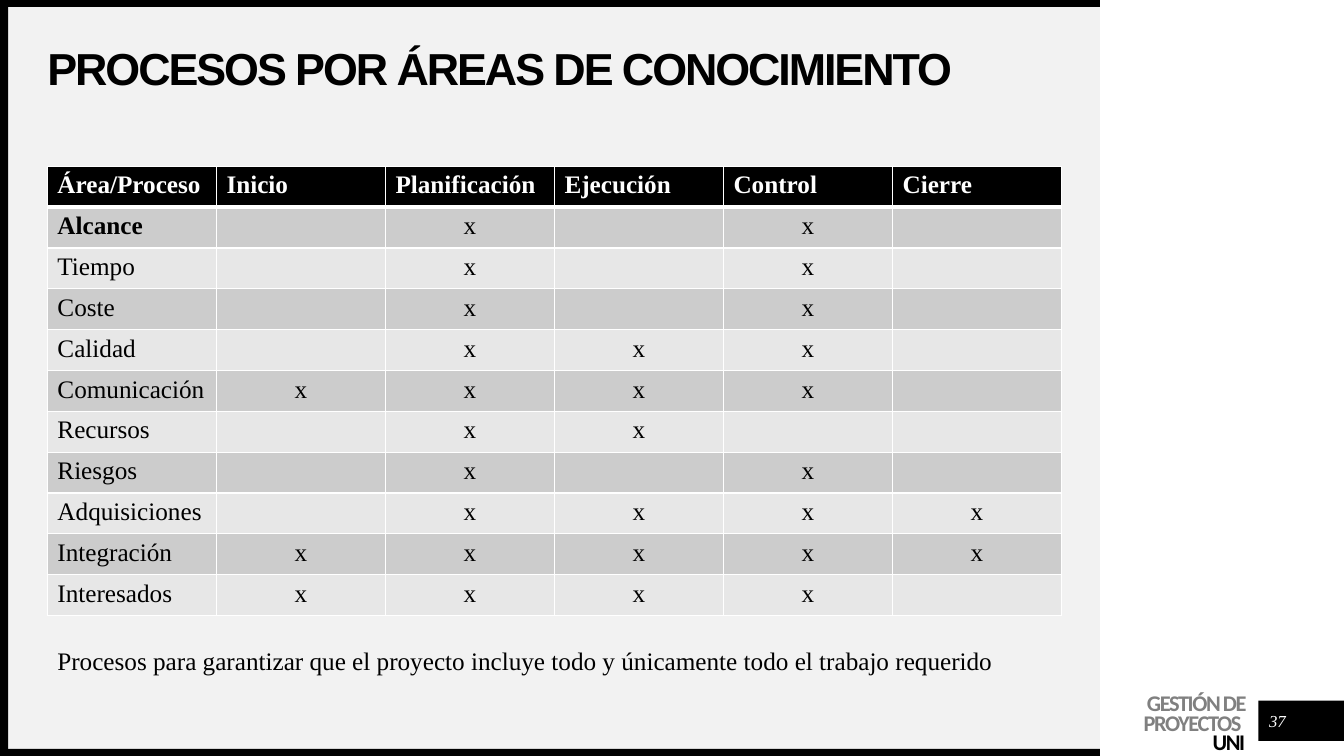
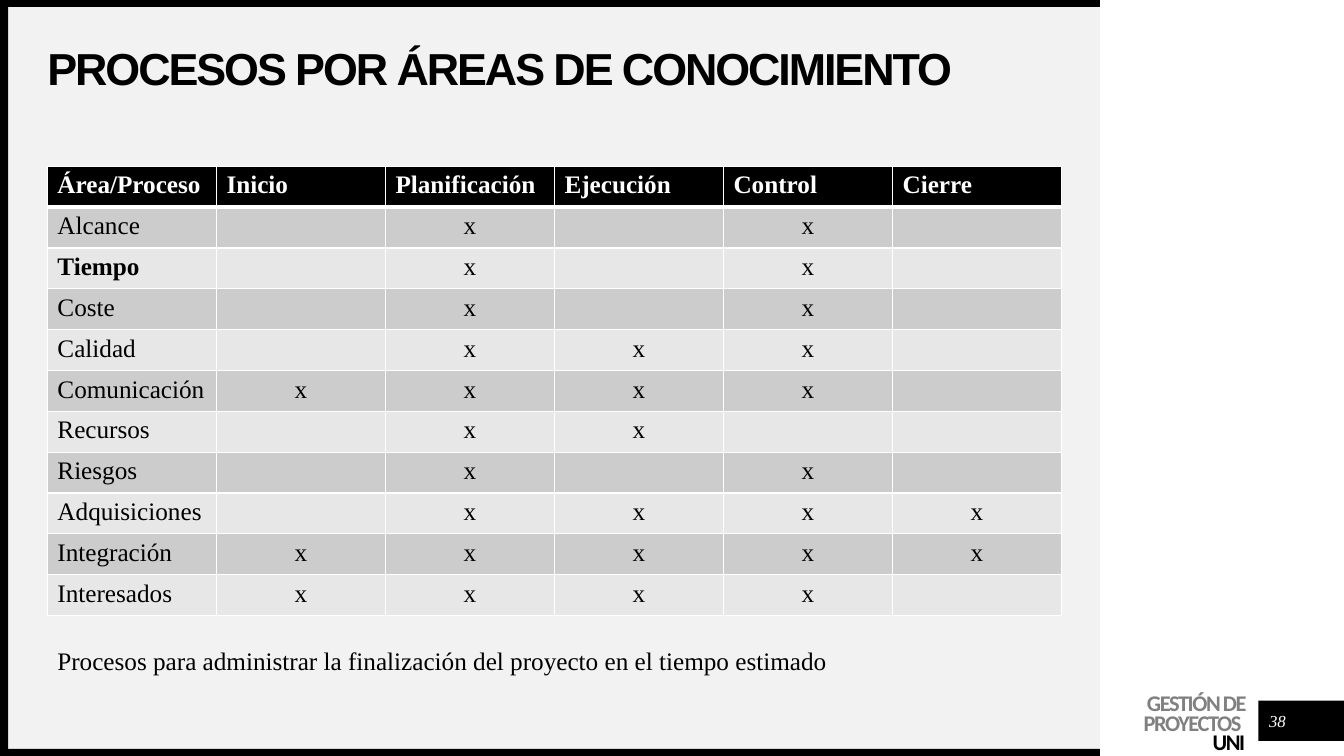
from dataclasses import dataclass

from lxml.etree import SubElement
from pptx import Presentation
from pptx.dml.color import RGBColor
from pptx.enum.shapes import MSO_SHAPE as Shape
from pptx.enum.text import MSO_ANCHOR as Anchor, PP_ALIGN as Align
from pptx.oxml import parse_xml
from pptx.oxml.ns import nsdecls, qn
from pptx.util import Inches, Pt


@dataclass(frozen=True)
class Theme:
    black: str = "000000"
    white: str = "FFFFFF"
    gray: str = "808080"
    panel: str = "F2F2F2"
    bands: tuple = ("CCCCCC", "E7E7E7")
    title_font: str = "Arial"
    body_font: str = "Times New Roman"
    footer_font: str = "Calibri"
    title_size: int = 32
    body_size: int = 18
    footer_size: int = 16
    footer_leading: int = 14
    number_size: int = 12
    grid_line: int = 1
    header_line: int = 3


THEME = Theme()
WIDTH, HEIGHT = 13.33, 7.5
PANEL_WIDTH = 10.91
EDGE_HEIGHT, EDGE_WIDTH = 0.07, 0.08
LEFT, CONTENT_WIDTH = 0.47, 10.06
TITLE_TOP, TABLE_TOP, CAPTION_TOP = 0.47, 1.65, 6.35
TABLE_HEIGHT = 4.46
NUMBER_LEFT, NUMBER_TOP = 12.48, 6.95

TITLE = "PROCESOS POR ÁREAS DE CONOCIMIENTO"
COURSE = "GESTIÓN DE PROYECTOS \nUNI"
PHASES = ["Inicio", "Planificación", "Ejecución", "Control", "Cierre"]
MARK = "x"
PHASES_BY_AREA = {
    "Alcance": ["Planificación", "Control"],
    "Tiempo": ["Planificación", "Control"],
    "Coste": ["Planificación", "Control"],
    "Calidad": ["Planificación", "Ejecución", "Control"],
    "Comunicación": ["Inicio", "Planificación", "Ejecución", "Control"],
    "Recursos": ["Planificación", "Ejecución"],
    "Riesgos": ["Planificación", "Control"],
    "Adquisiciones": ["Planificación", "Ejecución", "Control", "Cierre"],
    "Integración": PHASES,
    "Interesados": ["Inicio", "Planificación", "Ejecución", "Control"],
}
# Page number, highlighted area, caption
SLIDES = [
    (37, "Alcance", "Procesos para garantizar que el proyecto incluye todo "
                    "y únicamente todo el trabajo requerido"),
    (38, "Tiempo", "Procesos para administrar la finalización del proyecto "
                   "en el tiempo estimado"),
]


class Deck:
    def __init__(self, theme):
        self.theme = theme
        self.presentation = Presentation()
        self.presentation.slide_width = Inches(WIDTH)
        self.presentation.slide_height = Inches(HEIGHT)
        self.slide = None

    def style(self, paragraph, size, color, font=None, bold=False, italic=False,
              spacing=0, align=Align.LEFT):
        """Format a paragraph and its runs; spacing is between letters, in points."""
        paragraph.alignment = align
        for run in paragraph.runs:
            run.font.name = font or self.theme.body_font
            run.font.size = Pt(size)
            run.font.bold = bold
            run.font.italic = italic
            run.font.color.rgb = RGBColor.from_string(color)
            if spacing:
                run.font._element.set("spc", str(round(spacing * 100)))

    def fill(self, target, color):
        target.fill.solid()
        target.fill.fore_color.rgb = RGBColor.from_string(color)

    def rectangle(self, left, top, width, height, color):
        shape = self.slide.shapes.add_shape(
            Shape.RECTANGLE, Inches(left), Inches(top), Inches(width), Inches(height))
        shape.shadow.inherit = False
        self.fill(shape, color)
        shape.line.fill.background()

    def text(self, left, top, width, height, content, top_margin=None,
             anchor=Anchor.TOP):
        """Add a text box and return its paragraphs.

        Giving top_margin sets the other three margins to zero.
        """
        box = self.slide.shapes.add_textbox(
            Inches(left), Inches(top), Inches(width), Inches(height))
        frame = box.text_frame
        frame.word_wrap = True
        frame.vertical_anchor = anchor
        if top_margin is not None:
            frame.margin_left = frame.margin_right = frame.margin_bottom = 0
            frame.margin_top = Inches(top_margin)
        frame.text = content
        return frame.paragraphs

    def new_slide(self, number):
        """Add a blank slide with everything the slides share."""
        blank_layout = self.presentation.slide_layouts[6]
        self.slide = self.presentation.slides.add_slide(blank_layout)
        self.background()
        self.course_name()
        self.page_number(number)

    def background(self):
        black = self.theme.black
        self.rectangle(0, 0, PANEL_WIDTH, HEIGHT, self.theme.panel)
        for top in (0, HEIGHT - EDGE_HEIGHT):
            self.rectangle(0, top, PANEL_WIDTH, EDGE_HEIGHT, black)
        self.rectangle(0, 0, EDGE_WIDTH, HEIGHT, black)

    def course_name(self):
        theme = self.theme
        paragraphs = self.text(10.53, 6.87, 1.82, 0.64, COURSE, top_margin=0.04)
        for paragraph, color in zip(paragraphs, (theme.gray, theme.black)):
            self.style(paragraph, theme.footer_size, color, theme.footer_font,
                       bold=True, spacing=-1, align=Align.RIGHT)
            paragraph.line_spacing = Pt(theme.footer_leading)

    def page_number(self, number):
        self.rectangle(NUMBER_LEFT, NUMBER_TOP, WIDTH - NUMBER_LEFT, 0.4,
                       self.theme.black)
        [paragraph] = self.text(NUMBER_LEFT + 0.04, NUMBER_TOP + 0.05, 0.3, 0.3,
                                str(number), top_margin=0, anchor=Anchor.MIDDLE)
        self.style(paragraph, self.theme.number_size, self.theme.white,
                   italic=True, align=Align.CENTER)

    def title(self, content):
        [paragraph] = self.text(LEFT, TITLE_TOP, CONTENT_WIDTH, 0.47, content,
                                top_margin=0, anchor=Anchor.MIDDLE)
        self.style(paragraph, self.theme.title_size, self.theme.black,
                   self.theme.title_font, bold=True, spacing=-1.5)
        paragraph.line_spacing = 0.9

    def caption(self, content):
        [paragraph] = self.text(LEFT, CAPTION_TOP, CONTENT_WIDTH, 0.4, content)
        self.style(paragraph, self.theme.body_size, self.theme.black)

    def borders(self, cell, top, bottom):
        """Draw white cell borders; top and bottom are widths in points."""
        properties = cell._tc.get_or_add_tcPr()
        side = self.theme.grid_line
        edges = (("L", side), ("R", side), ("T", top), ("B", bottom))
        # The schema wants the borders in this order, ahead of the cell fill
        for position, (edge, width) in enumerate(edges):
            line = parse_xml(f'<a:ln{edge} {nsdecls("a")} w="{Pt(width)}"/>')
            line_fill = SubElement(line, qn("a:solidFill"))
            SubElement(line_fill, qn("a:srgbClr"), val=self.theme.white)
            properties.insert(position, line)

    def cell(self, cell, content, background, color, bold, align):
        cell.text = content
        self.fill(cell, background)
        [paragraph] = cell.text_frame.paragraphs
        self.style(paragraph, self.theme.body_size, color, bold=bold, align=align)

    def table(self, header, body, highlighted):
        """Add a banded table whose highlighted area is in bold."""
        theme = self.theme
        row_count, column_count = len(body) + 1, len(header)
        table = self.slide.shapes.add_table(
            row_count, column_count, Inches(LEFT), Inches(TABLE_TOP),
            Inches(CONTENT_WIDTH), Inches(TABLE_HEIGHT)).table
        for column in table.columns:
            column.width = Inches(CONTENT_WIDTH / column_count)
        for row in table.rows:
            row.height = Inches(TABLE_HEIGHT / row_count)

        for column, label in enumerate(header):
            cell = table.cell(0, column)
            self.cell(cell, label, theme.black, theme.white, True, Align.LEFT)
            self.borders(cell, theme.grid_line, theme.header_line)

        for row, values in enumerate(body, start=1):
            band = theme.bands[(row - 1) % len(theme.bands)]
            top_line = theme.header_line if row == 1 else theme.grid_line
            for column, value in enumerate(values):
                cell = table.cell(row, column)
                align = Align.LEFT if column == 0 else Align.CENTER
                self.cell(cell, value, band, theme.black, value == highlighted, align)
                self.borders(cell, top_line, theme.grid_line)


def area_rows():
    """List each area followed by a mark under every phase it takes part in."""
    rows = []
    for area, active_phases in PHASES_BY_AREA.items():
        marks = [MARK if phase in active_phases else "" for phase in PHASES]
        rows.append([area, *marks])
    return rows


def main():
    deck = Deck(THEME)
    header = ["Área/Proceso", *PHASES]
    body = area_rows()
    for number, area, description in SLIDES:
        deck.new_slide(number)
        deck.title(TITLE)
        deck.table(header, body, highlighted=area)
        deck.caption(description)
    deck.presentation.save("out.pptx")


if __name__ == "__main__":
    main()
